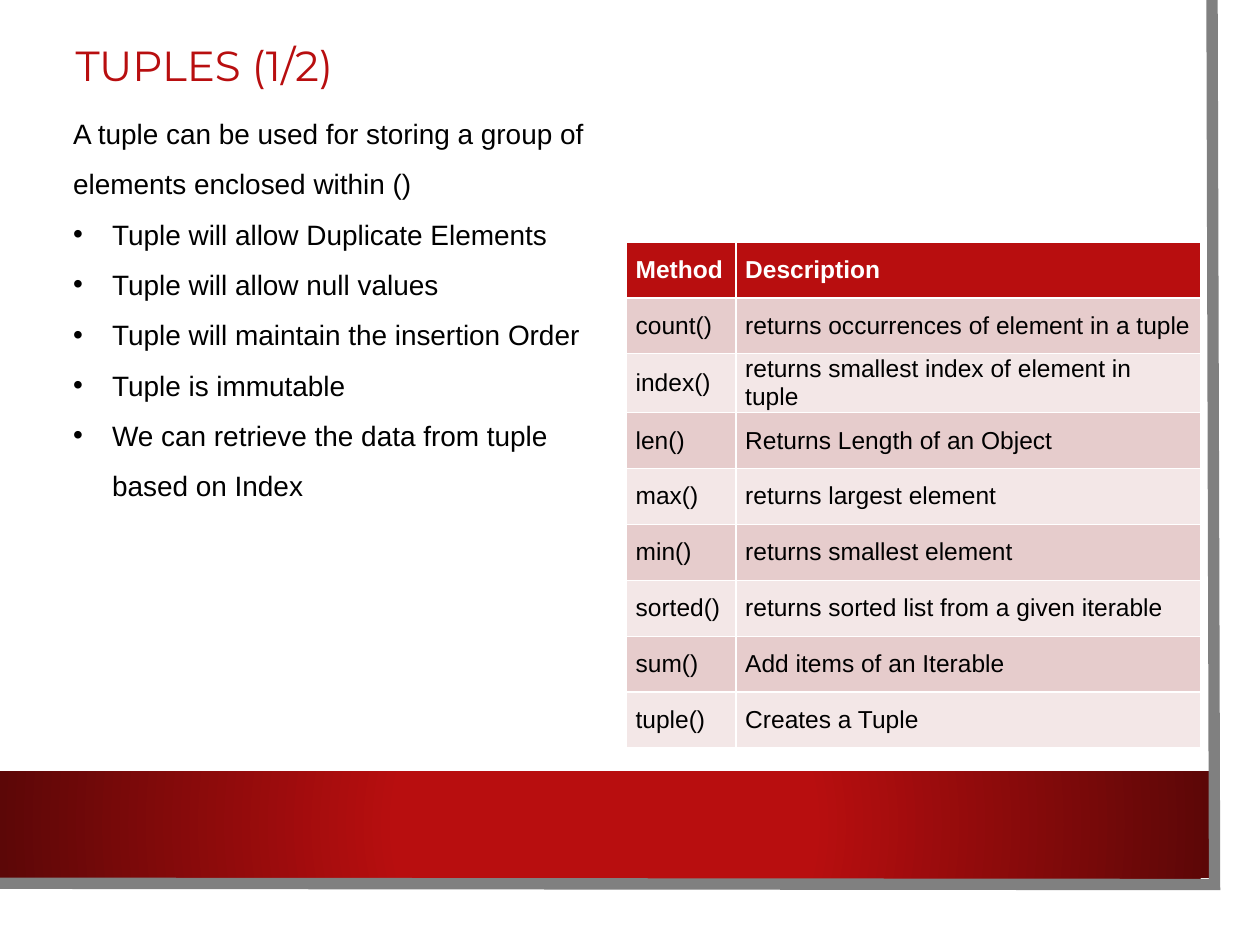
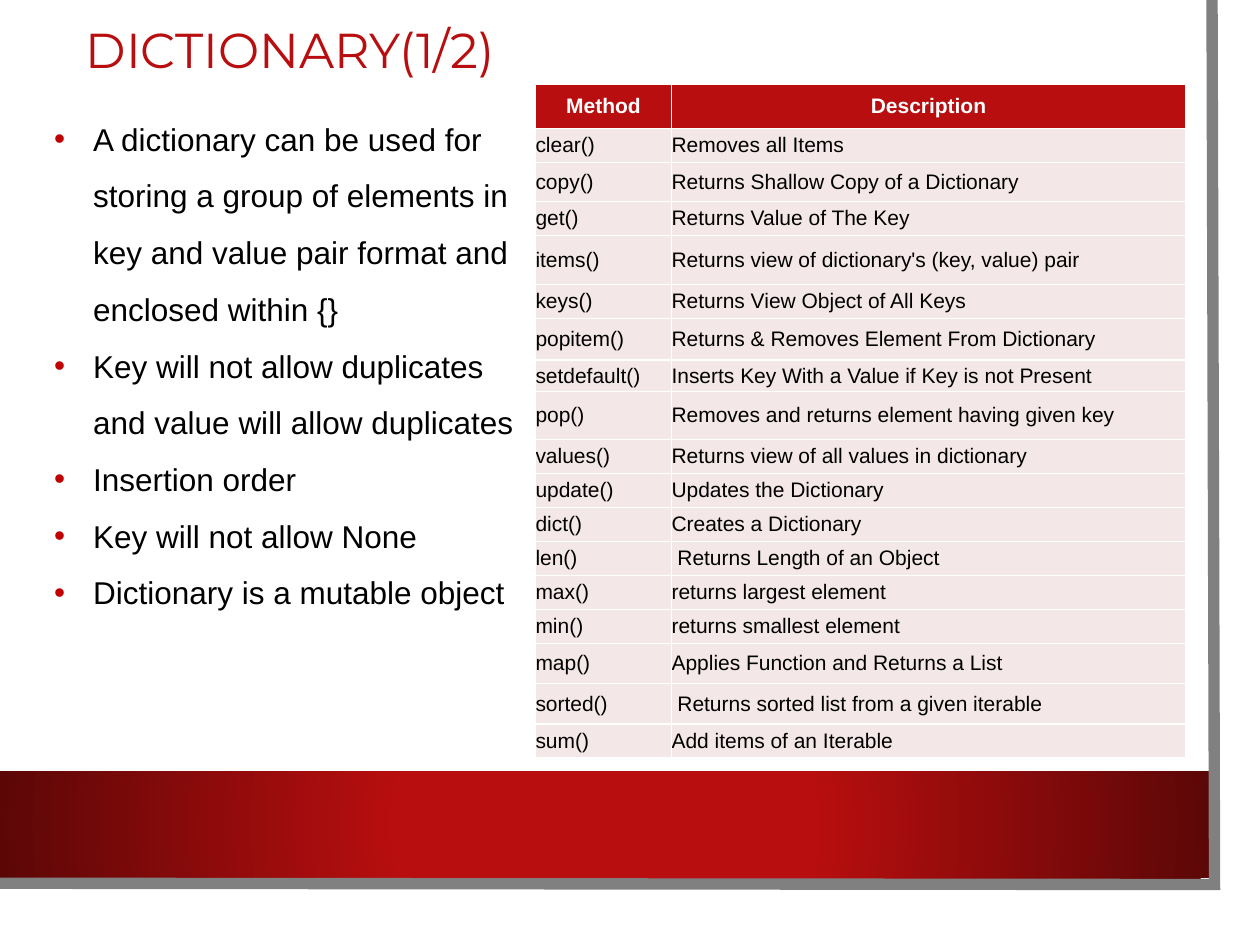
import lxml.etree
import pptx
import pptx.dml.color
import pptx.enum.shapes
import pptx.enum.text
import pptx.oxml.ns
import pptx.util

qn = pptx.oxml.ns.qn
Pt = pptx.util.Pt

RED, DARK_RED, BULLET_RED = "B80E0F", "5C0707", "C00000"
GREY, BLACK, WHITE = "808080", "000000", "FFFFFF"
ROSE, PALE_ROSE = "E6CCCC", "F3E7E7"

TUPLE_INTRO = "A tuple can be used for storing a group of elements enclosed within ()"
TUPLE_FACTS = [
    "Tuple will allow Duplicate Elements",
    "Tuple will allow null values",
    "Tuple will maintain the insertion Order",
    "Tuple is immutable",
    "We can retrieve the data from tuple based on Index",
]
TUPLE_METHODS = [
    ("count()", "returns occurrences of element in a tuple"),
    ("index()", "returns smallest index of element in tuple"),
    ("len()", "Returns Length of an Object"),
    ("max()", "returns largest element"),
    ("min()", "returns smallest element"),
    ("sorted()", "returns sorted list from a given iterable"),
    ("sum()", "Add items of an Iterable"),
    ("tuple()", "Creates a Tuple"),
]
DICTIONARY_FACTS = [
    "A dictionary can be used for storing a group of elements in key and value pair "
    "format and enclosed within {}",
    "Key will not allow duplicates and value will allow duplicates",
    "Insertion order",
    "Key will not allow None",
    "Dictionary is a mutable object",
]
DICTIONARY_METHODS = [
    ("clear()", "Removes all Items"),
    ("copy()", "Returns Shallow Copy of a Dictionary"),
    ("get()", "Returns Value of The Key"),
    ("items()", "Returns view of dictionary's (key, value) pair"),
    ("keys()", "Returns View Object of All Keys"),
    ("popitem()", "Returns & Removes Element From Dictionary"),
    ("setdefault()", "Inserts Key With a Value if Key is not Present"),
    ("pop()", "Removes and returns element having given key"),
    ("values()", "Returns view of all values in dictionary"),
    ("update()", "Updates the Dictionary"),
    ("dict()", "Creates a Dictionary"),
    ("len()", " Returns Length of an Object"),
    ("max()", "returns largest element"),
    ("min()", "returns smallest element"),
    ("map()", "Applies Function and Returns a List"),
    ("sorted()", " Returns sorted list from a given iterable"),
    ("sum()", "Add items of an Iterable"),
]
DICTIONARY_ROWS = [3.5, 2.7, 3.1, 2.7, 3.9, 2.7, 3.3, 2.5, 3.8] + [2.7] * 6 + [3.2, 3.2, 2.7]


def colour(value):
    return pptx.dml.color.RGBColor.from_string(value)


class Deck:
    """Holds the style, a grid of 100 columns by 75 rows, and the current slide."""

    def __init__(self):
        self.show = pptx.Presentation()
        self.show.slide_width = pptx.util.Inches(10)
        self.show.slide_height = pptx.util.Inches(7.5)
        self.layout = self.show.slide_layouts[1]
        self.slide = None

    def cols(self, count):
        return round(self.show.slide_width * count / 100)

    def rows(self, count):
        return round(self.show.slide_height * count / 75)

    def area(self, left, top, width, height):
        return self.cols(left), self.rows(top), self.cols(width), self.rows(height)

    def place(self, holder, *area):
        holder.left, holder.top, holder.width, holder.height = self.area(*area)

    def style(self, paragraph, size, ink=BLACK, name="Arial", bold=False):
        font = paragraph.font
        font.size, font.name, font.bold = Pt(size), name, bold
        font.color.rgb = colour(ink)

    def new_slide(self, heading, size, *area):
        self.slide = self.show.slides.add_slide(self.layout)
        title = self.slide.shapes.title
        self.place(title, *area)
        frame = title.text_frame
        frame.text = heading
        frame.auto_size = pptx.enum.text.MSO_AUTO_SIZE.NONE
        frame.vertical_anchor = pptx.enum.text.MSO_ANCHOR.MIDDLE
        line = frame.paragraphs[0]
        line.alignment = pptx.enum.text.PP_ALIGN.LEFT
        line.line_spacing = 0.9
        self.style(line, size, RED, "Montserrat")

    def band(self):
        band = self.slide.shapes.add_shape(
            pptx.enum.shapes.MSO_SHAPE.RECTANGLE, *self.area(0, 61.2, 96, 8.5))
        band.fill.gradient()
        for stop, (position, ink) in zip(band.fill.gradient_stops, [(0.34, RED), (1, DARK_RED)]):
            stop.position, stop.color.rgb = position, colour(ink)
        gradient = band.element.spPr.find(qn("a:gradFill"))
        gradient.remove(gradient.find(qn("a:lin")))
        path = lxml.etree.SubElement(gradient, qn("a:path"), path="circle")
        lxml.etree.SubElement(path, qn("a:fillToRect"), dict.fromkeys("ltrb", "50000"))
        band.line.fill.background()
        return band

    def edge(self):
        corners = [(96.2, 0), (96.4, 70.2), (-0.2, 70.1)]
        start, *rest = [(self.cols(x), self.rows(y)) for x, y in corners]
        builder = self.slide.shapes.build_freeform(*start)
        builder.add_line_segments(rest, close=False)
        edge = builder.convert_to_shape()
        edge.fill.background()
        edge.line.color.rgb = colour(GREY)
        edge.line.width = Pt(6.5)
        lxml.etree.SubElement(edge.element.spPr.ln, qn("a:miter"), lim="800000")
        return edge

    def frame_layout(self):
        for index, part in enumerate([self.band(), self.edge()]):
            part.shadow.inherit = False
            part.element.nvSpPr.cNvPr.set("id", str(100 + index))
            self.layout.shapes.element.insert(2 + index, part.element)

    def facts(self, items, size, area, intro=None, bullet_ink=BLACK):
        body = self.slide.placeholders[1]
        self.place(body, *area)
        frame = body.text_frame
        frame.auto_size = pptx.enum.text.MSO_AUTO_SIZE.SHAPE_TO_FIT_TEXT
        lines = ([intro] if intro else []) + items
        frame.text = "\n".join(lines)
        for text, paragraph in zip(lines, frame.paragraphs):
            props = paragraph._p.get_or_add_pPr()
            indent = 0 if text == intro else self.cols(3.1)
            props.set("marL", str(indent))
            props.set("indent", str(-indent))
            if indent:
                tint = lxml.etree.SubElement(props, qn("a:buClr"))
                lxml.etree.SubElement(tint, qn("a:srgbClr"), val=bullet_ink)
                lxml.etree.SubElement(props, qn("a:buChar"), char="•")
            else:
                lxml.etree.SubElement(props, qn("a:buNone"))
            paragraph.line_spacing = 1.5
            paragraph.space_before = Pt(0)
            self.style(paragraph, size)

    def methods(self, entries, size, corner, widths, heights, fills, inset=0, header_align=None):
        grid = [("Method", "Description")] + entries
        table = self.slide.shapes.add_table(
            len(grid), len(widths), *self.area(*corner, sum(widths), sum(heights))).table
        table.horz_banding = False
        for column, width in zip(table.columns, widths):
            column.width = self.cols(width)
        for number, (row, height, texts) in enumerate(zip(table.rows, heights, grid)):
            row.height = self.rows(height)
            header = number == 0
            for cell, text in zip(row.cells, texts):
                cell.text = text
                cell.margin_left = cell.margin_right = self.cols(inset)
                cell.margin_top = cell.margin_bottom = 0
                cell.vertical_anchor = pptx.enum.text.MSO_ANCHOR.MIDDLE
                cell.fill.solid()
                cell.fill.fore_color.rgb = colour(RED if header else fills[(number - 1) % len(fills)])
                paragraph = cell.text_frame.paragraphs[0]
                if header:
                    paragraph.alignment = header_align
                self.style(paragraph, size, WHITE if header else BLACK, bold=header)


def main():
    deck = Deck()
    deck.new_slide("TUPLES (1/2)", 24, 5, 3.3, 87.6, 4.2)
    deck.frame_layout()
    deck.facts(TUPLE_FACTS, 16, (4.8, 7.4, 45.2, 32.8), intro=TUPLE_INTRO)
    deck.methods(TUPLE_METHODS, 14, (49.7, 19.2), [8.7, 36.9], [4.44] * 9,
                 [ROSE, PALE_ROSE], inset=0.75)

    deck.new_slide("DICTIONARY(1/2)", 28, 5.8, 1.7, 85.3, 5)
    deck.facts(DICTIONARY_FACTS, 18, (3.3, 7.5, 40.8, 41.3), bullet_ink=BULLET_RED)
    deck.methods(DICTIONARY_METHODS, 12, (42.5, 6.7), [10.8, 40.8], DICTIONARY_ROWS,
                 [PALE_ROSE], header_align=pptx.enum.text.PP_ALIGN.CENTER)
    deck.show.save("out.pptx")


if __name__ == "__main__":
    main()
